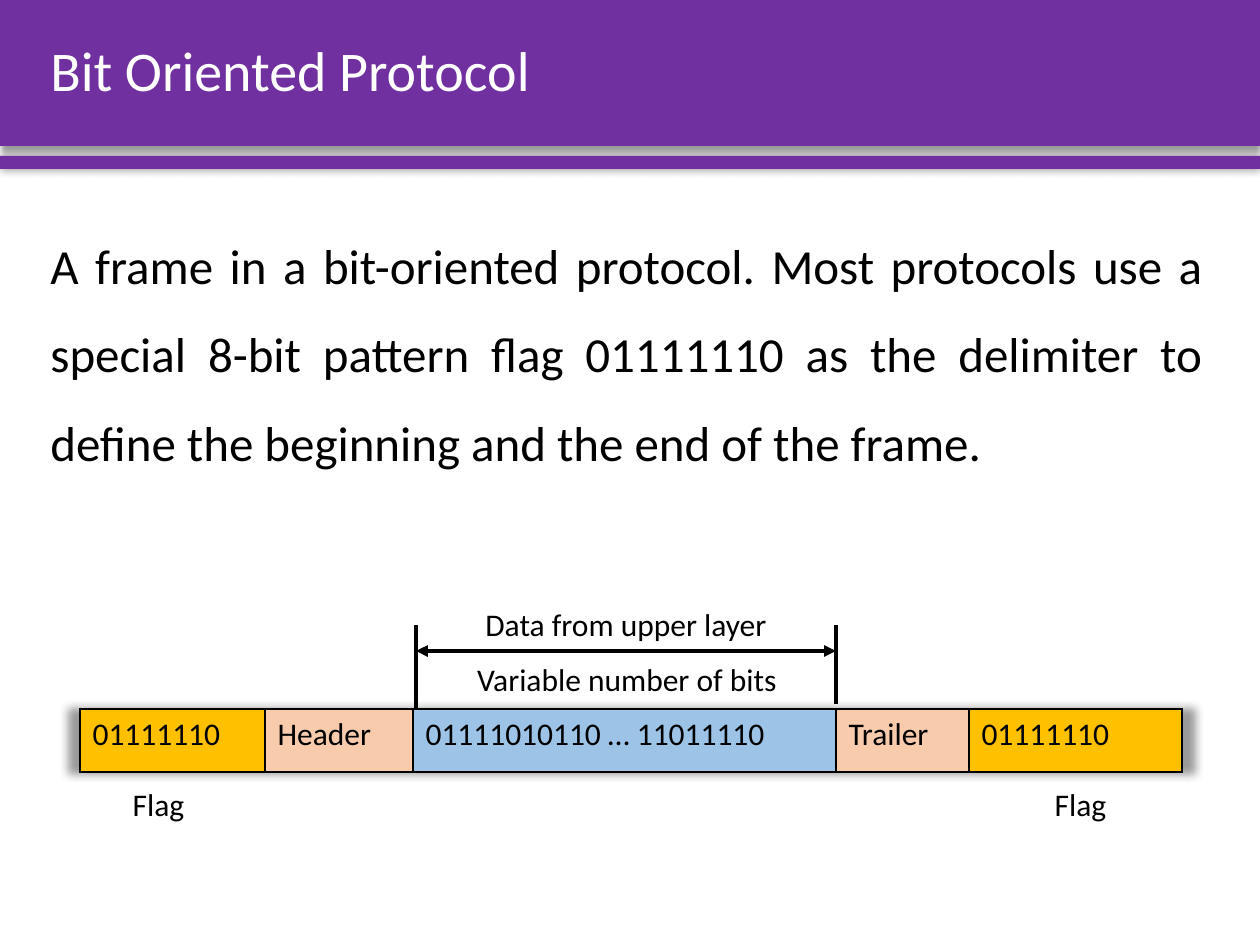
from lxml.etree import SubElement
from pptx import Presentation
from pptx.dml.color import RGBColor
from pptx.enum.shapes import MSO_CONNECTOR, MSO_SHAPE
from pptx.enum.text import MSO_ANCHOR, PP_ALIGN
from pptx.oxml import parse_xml
from pptx.oxml.ns import nsdecls, qn
from pptx.util import Pt

PX = 914400 / 126


def emu(*lengths):
    return [round(n * PX) for n in lengths]


def rgb(color):
    return RGBColor.from_string(color)


prs = Presentation()
prs.slide_width, prs.slide_height = emu(1260, 945)
s = prs.slides.add_slide(prs.slide_layouts[6])

SHADOW = (
    f'<a:effectLst {nsdecls("a")}><a:outerShdw %s rotWithShape="0">'
    '<a:srgbClr val="000000"><a:alpha val="40000"/></a:srgbClr>'
    '</a:outerShdw></a:effectLst>'
)

bands = [
    (0, 146, 'blurRad="50800" dist="38100" dir="5400000" algn="t"'),
    (156, 13, 'blurRad="63500" algn="ctr"'),
]
for top, height, shadow in bands:
    sp = s.shapes.add_shape(MSO_SHAPE.RECTANGLE, *emu(0, top, 1260, height))
    sp.fill.solid()
    sp.fill.fore_color.rgb = rgb("7030A0")
    sp.line.fill.background()
    sp._element.spPr.append(parse_xml(SHADOW % shadow))

cells = [
    ("01111110", 185, "FFC000"),
    ("Header", 148, "F8CBAD"),
    ("01111010110 … 11011110", 423, "9DC3E6"),
    ("Trailer", 133, "F8CBAD"),
    ("01111110", 213, "FFC000"),
]
frame_width = sum(width for _, width, _ in cells)
table = s.shapes.add_table(1, len(cells), *emu(80, 709, frame_width, 63)).table
table.first_row = table.horz_banding = False
table._tbl.tblPr.insert(
    0, parse_xml(SHADOW % 'blurRad="63500" sx="102000" sy="102000" algn="ctr"'))
for i, (text, width, color) in enumerate(cells):
    table.columns[i].width = emu(width)[0]
    cell = table.cell(0, i)
    cell.text = text
    p = cell.text_frame.paragraphs[0]
    p.font.size = Pt(18)
    p.font.name = "Calibri"
    p.font.color.rgb = rgb("000000")
    tcPr = cell._tc.get_or_add_tcPr()
    for side in ("lnL", "lnR", "lnT", "lnB"):
        ln = SubElement(tcPr, qn(f"a:{side}"), w="12700")
        fill = SubElement(ln, qn("a:solidFill"))
        SubElement(fill, qn("a:srgbClr"), val="000000")
    cell.fill.solid()
    cell.fill.fore_color.rgb = rgb(color)

lines = [
    (836, 625, 836, 704, False),
    (416, 625, 416, 709, False),
    (416, 651, 836, 651, True),
]
for x1, y1, x2, y2, arrows in lines:
    line = s.shapes.add_connector(MSO_CONNECTOR.STRAIGHT, *emu(x1, y1, x2, y2))
    line.line.color.rgb = rgb("000000")
    line.line.width = Pt(2.25)
    if arrows:
        for end in ("headEnd", "tailEnd"):
            SubElement(line.line._get_or_add_ln(), qn(f"a:{end}"), type="triangle")
    SubElement(line._element.spPr, qn("a:effectLst"))

BODY = (
    "A frame in a bit-oriented protocol. Most protocols use a special 8-bit "
    "pattern flag 01111110 as the delimiter to define the beginning and the "
    "end of the frame."
)
texts = [
    ("Bit Oriented Protocol", (38, 0, 1192, 146), 32, "FFFFFF", PP_ALIGN.LEFT, 0.9),
    (BODY, (38, 200, 1177, 357), 28, "000000", PP_ALIGN.JUSTIFY, 1.5),
    ("Data from upper layer", (416, 599, 420, 50), 18, "000000", PP_ALIGN.CENTER, 1.0),
    ("Variable number of bits", (417, 654, 420, 50), 18, "000000", PP_ALIGN.CENTER, 1.0),
    ("Flag", (1002, 779, 157, 50), 18, "000000", PP_ALIGN.CENTER, 1.0),
    ("Flag", (80, 779, 157, 50), 18, "000000", PP_ALIGN.CENTER, 1.0),
]
for text, box, size, color, align, spacing in texts:
    tf = s.shapes.add_textbox(*emu(*box)).text_frame
    tf.word_wrap = True
    tf.vertical_anchor = MSO_ANCHOR.MIDDLE if box[1] == 0 else MSO_ANCHOR.TOP
    p = tf.paragraphs[0]
    p.text = text
    p.alignment = align
    p.line_spacing = spacing
    p.font.size = Pt(size)
    p.font.name = "Calibri"
    p.font.color.rgb = rgb(color)

prs.save("out.pptx")
